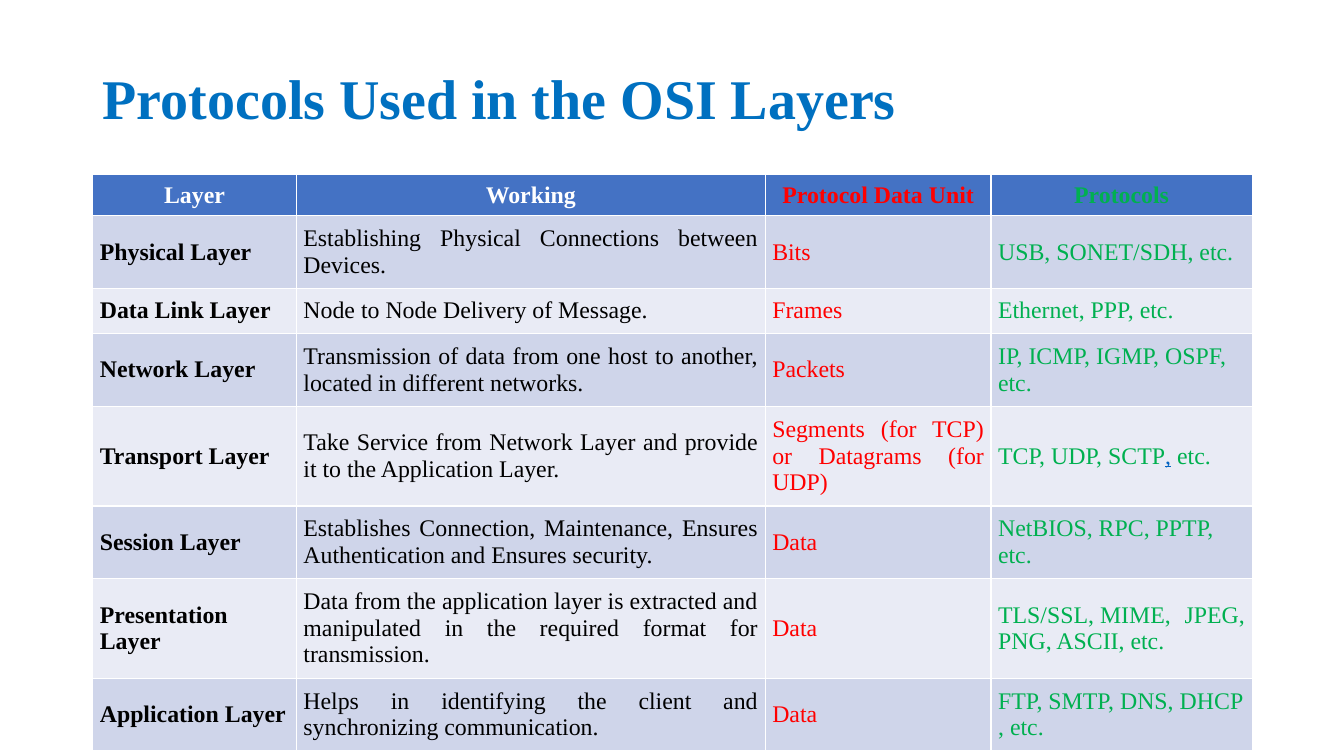
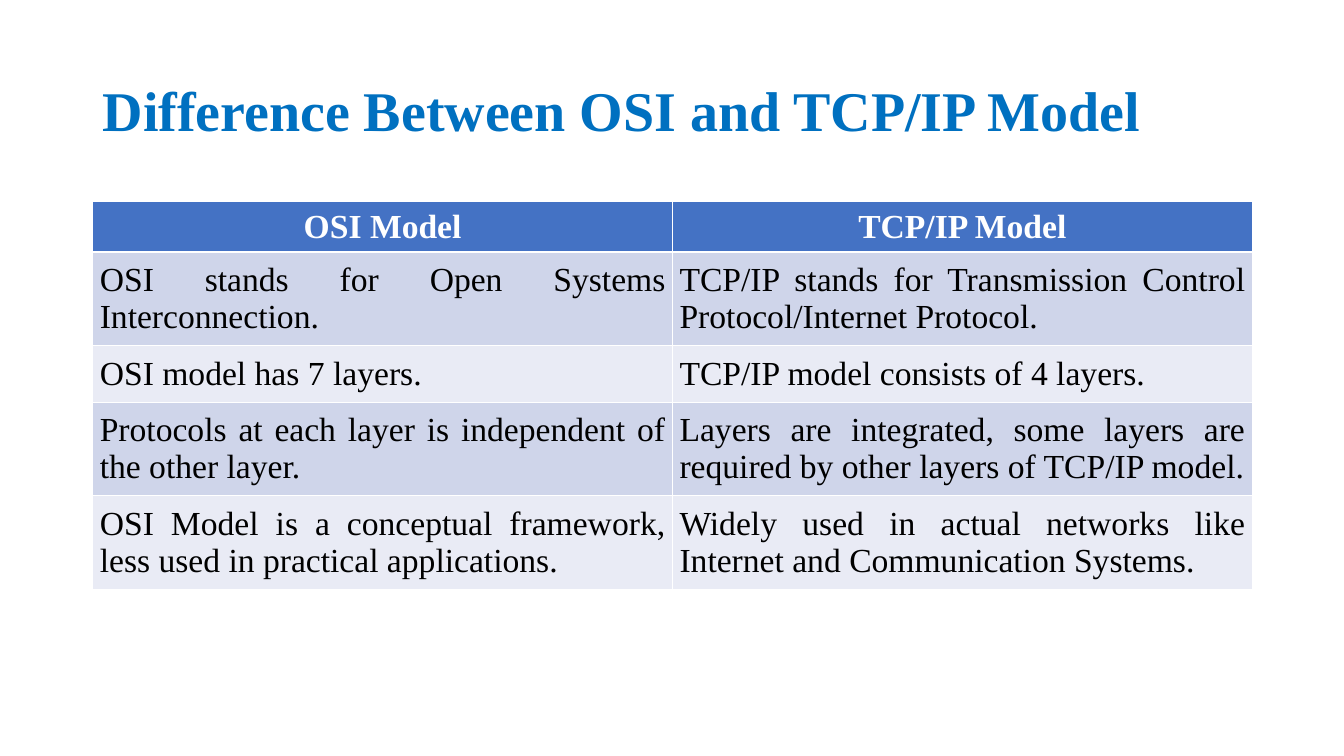
from pptx import Presentation
from pptx.dml.color import RGBColor
from pptx.enum import text
from pptx.util import Inches, Pt

FONT = "Times New Roman"
COLOURS = {
    "title": "0070C0", "header": "4472C4", "odd": "CFD5EA", "even": "E9EBF5",
    "white": "FFFFFF", "black": "000000", "red": "FF0000", "green": "00B050",
    "link": "0563C1",
}
LEFT, WIDTH = 0.92, 11.5
HARD_SPACE = chr(160)
ALIGN = text.PP_ALIGN


def add_span(para, words, size, colour, bold, underline=False):
    span = para.add_run()
    span.text = words.replace("~", HARD_SPACE)
    style = {"name": FONT, "size": Pt(size), "bold": bold, "underline": underline}
    for name, value in style.items():
        setattr(span.font, name, value)
    span.font.color.rgb = RGBColor.from_string(COLOURS[colour])


PAGES = [
    {
        "title": "Protocols Used in the OSI Layers",
        "title_top": 0.28, "title_align": ALIGN.LEFT, "table_top": 1.73, "size": 17,
        "columns": [2.02, 4.65, 2.24, 2.59],
        "heights": [0.41, 0.72, 0.45, 0.72, 0.99, 0.72, 0.99, 0.72],
        "header_colours": ["white", "white", "red", "green"],
        "body_colours": ["black", "black", "red", "green"],
        "bold_first": True,
        "rows": [
            ["Layer", "Working", "Protocol Data Unit", "Protocols"],
            ["Physical Layer", "Establishing Physical Connections between Devices.",
             "Bits", "USB,~SONET/SDH, etc."],
            ["Data Link Layer", "Node to Node Delivery of Message.",
             "Frames", "Ethernet, PPP, etc."],
            ["Network Layer",
             "Transmission of data from one host to another, located in different networks.",
             "Packets", "IP,~ICMP,~IGMP,~OSPF, etc."],
            ["Transport Layer",
             "Take Service from Network Layer and provide it to the Application Layer.",
             "Segments (for TCP) or Datagrams (for UDP)", "TCP,~UDP,~SCTP|,|~etc."],
            ["Session Layer",
             "Establishes Connection, Maintenance, Ensures Authentication and Ensures security.",
             "Data", "NetBIOS,~RPC,~PPTP, etc."],
            ["Presentation Layer",
             "Data from the application layer is extracted and manipulated "
             "in the required format for transmission.",
             "Data", "TLS/SSL,~MIME, JPEG, PNG, ASCII, etc."],
            ["Application Layer",
             "Helps in identifying the client and synchronizing communication.",
             "Data", "FTP,~SMTP,~DNS,~DHCP, etc."],
        ],
    },
    {
        "title": "Difference Between OSI and TCP/IP Model",
        "title_top": 0.4, "title_align": ALIGN.JUSTIFY, "table_top": 2, "size": 24,
        "columns": [5.75, 5.75],
        "heights": [0.5, 0.93, 0.56, 0.93, 0.93],
        "header_colours": ["white", "white"],
        "body_colours": ["black", "black"],
        "bold_first": False,
        "rows": [
            ["OSI Model", "TCP/IP Model"],
            ["OSI stands for Open Systems Interconnection.",
             "TCP/IP stands for Transmission Control Protocol/Internet Protocol."],
            ["OSI model has 7 layers.", "TCP/IP model consists of 4 layers."],
            ["Protocols at each layer is independent of the other layer.",
             "Layers are integrated, some layers are required by other layers of TCP/IP model."],
            ["OSI Model is a conceptual framework, less used in practical applications.",
             "Widely used in actual networks like Internet and Communication Systems."],
        ],
    },
]

deck = Presentation()
deck.slide_width, deck.slide_height = Inches(13.33), Inches(7.5)

for content in PAGES:
    page = deck.slides.add_slide(deck.slide_layouts[6])
    box = page.shapes.add_textbox(
        Inches(LEFT), Inches(content["title_top"]), Inches(WIDTH), Inches(1.45))
    box.text_frame.word_wrap = True
    box.text_frame.vertical_anchor = text.MSO_ANCHOR.MIDDLE
    para = box.text_frame.paragraphs[0]
    para.alignment, para.line_spacing = content["title_align"], 0.9
    add_span(para, content["title"], 40, "title", True)

    rows, columns, heights = content["rows"], content["columns"], content["heights"]
    table = page.shapes.add_table(
        len(rows), len(columns), Inches(LEFT), Inches(content["table_top"]),
        Inches(WIDTH), Inches(sum(heights))).table
    for column, width in zip(table.columns, columns):
        column.width = Inches(width)
    for table_row, height in zip(table.rows, heights):
        table_row.height = Inches(height)

    for row_index, row in enumerate(rows):
        header = row_index == 0
        band = "header" if header else ("even", "odd")[row_index % 2]
        colours = content["header_colours" if header else "body_colours"]
        for column_index, words in enumerate(row):
            cell = table.cell(row_index, column_index)
            side = 0.04 if header and column_index == 0 else 0.07
            edge = 0.04 if header else 0.05
            layout = {
                "margin_left": Inches(side), "margin_right": Inches(side),
                "margin_top": Inches(edge), "margin_bottom": Inches(edge),
                "vertical_anchor": text.MSO_ANCHOR.MIDDLE,
            }
            for name, value in layout.items():
                setattr(cell, name, value)
            cell.fill.solid()
            cell.fill.fore_color.rgb = RGBColor.from_string(COLOURS[band])
            para = cell.text_frame.paragraphs[0]
            para.alignment = ALIGN.CENTER if header else ALIGN.JUSTIFY
            bold = header or (content["bold_first"] and column_index == 0)
            for part_index, part in enumerate(words.split("|")):
                linked = part_index % 2 == 1
                colour = "link" if linked else colours[column_index]
                add_span(para, part, content["size"], colour, bold, linked)

deck.save("out.pptx")
